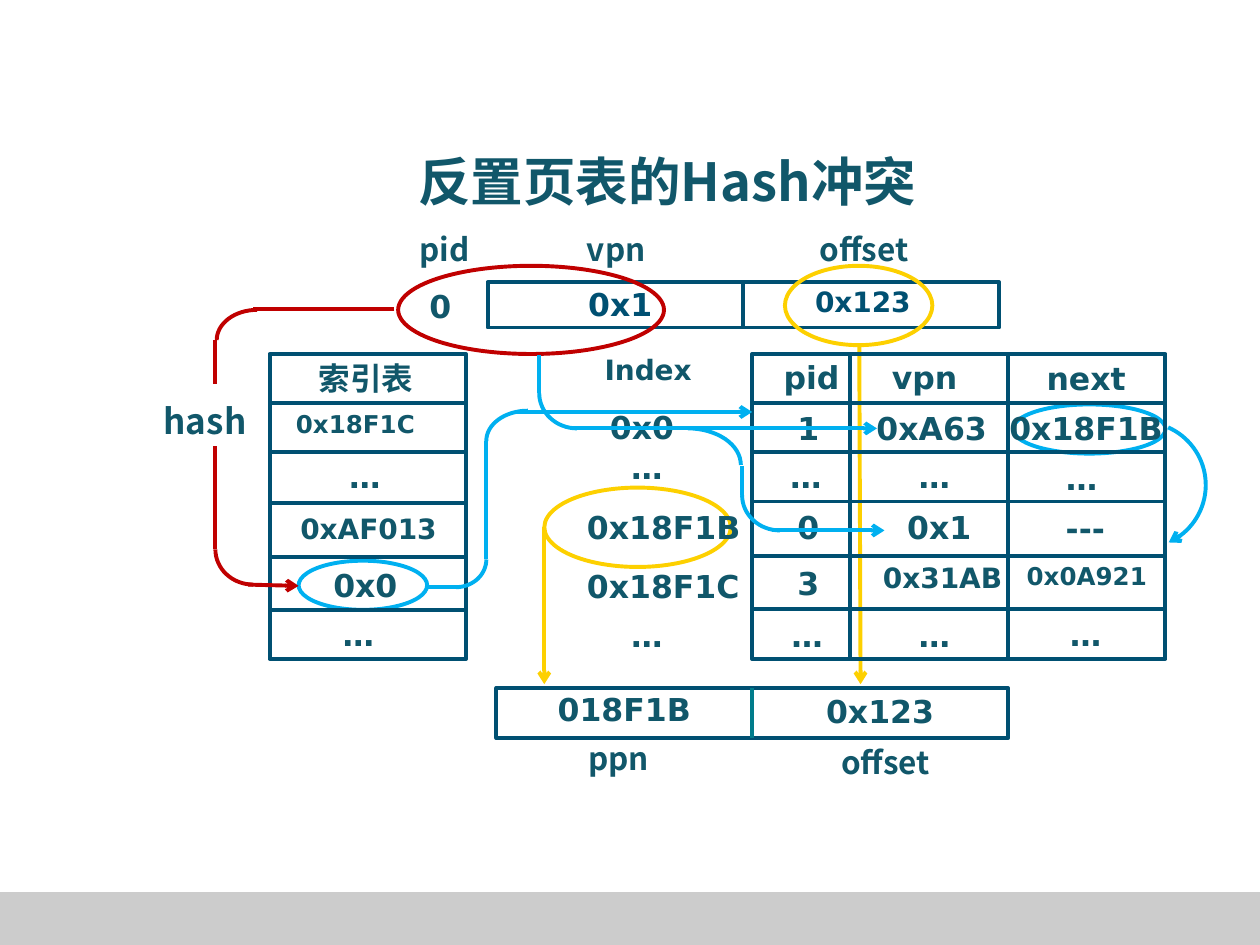
from dataclasses import dataclass
from math import cos, pi, sin

from lxml import etree
from pptx import Presentation
from pptx.dml.color import RGBColor
from pptx.enum.shapes import MSO_CONNECTOR, MSO_SHAPE
from pptx.enum.text import MSO_ANCHOR, MSO_AUTO_SIZE, PP_ALIGN
from pptx.oxml.ns import qn
from pptx.util import Pt

PX = 9144
RECT, OVAL, ARC = MSO_SHAPE.RECTANGLE, MSO_SHAPE.OVAL, MSO_SHAPE.ARC
STRAIGHT = MSO_CONNECTOR.STRAIGHT
LEFT, CENTER = PP_ALIGN.LEFT, PP_ALIGN.CENTER
FIT_TEXT, TOP = MSO_AUTO_SIZE.SHAPE_TO_FIT_TEXT, MSO_ANCHOR.TOP
MONO, SANS = "DejaVu Sans", "Noto Sans CJK SC"
COLORS = {"navy": "005072", "ink": "11576A", "teal": "007C8B", "red": "C00000",
          "yellow": "FDD000", "blue": "00B0F0", "band": "CCCCCC"}
LABEL_HEIGHTS = {14: 34, 16: 37, 18: 40, 20: 44, 30: 58}
BEND_STEPS = 16
TABLE_TOP, TABLE_HEIGHT = 281, 242


@dataclass
class Label:
    text: str
    left: int
    top: int
    width: int
    size: int = 18
    font: str = MONO
    align: PP_ALIGN = LEFT
    color: str = "ink"
    wrap: bool = True
    spacing: float = 1.0


@dataclass
class Outline:
    kind: MSO_SHAPE
    left: int
    top: int
    width: int
    height: int
    color: str


@dataclass
class Line:
    x1: int
    y1: int
    x2: int
    y2: int
    color: str
    arrow: bool = False


@dataclass
class Bend:
    """A quarter ellipse, level at its first point and upright at its second."""
    x1: int
    y1: int
    x2: int
    y2: int
    color: str


@dataclass
class Column:
    left: int
    width: int
    rules: tuple


INDEX_RULES = (320, 359, 399, 442, 484)
PAGE_RULES = (320, 359, 398, 441, 483)
COLUMNS = [Column(214, 156, INDEX_RULES), Column(800, 125, PAGE_RULES),
           Column(675, 125, PAGE_RULES), Column(597, 78, PAGE_RULES)]

ADDRESS_BARS = [Outline(RECT, 387, 224, 406, 36, "navy"),
                Outline(RECT, 394, 546, 406, 40, "navy")]
BAR_DIVIDERS = [Line(590, 224, 590, 261, "navy"), Line(597, 546, 597, 586, "teal")]
MARKS = [Outline(OVAL, 316, 211, 211, 70, "red"),
         Outline(OVAL, 432, 387, 148, 63, "yellow"),
         Outline(OVAL, 237, 445, 102, 39, "blue"),
         Outline(OVAL, 804, 321, 121, 39, "blue"),
         Outline(OVAL, 623, 211, 117, 63, "yellow")]
OFFSET_FLOWS = [Line(432, 418, 432, 543, "yellow", True),
                Line(682, 273, 683, 543, "yellow", True)]
HASH_FLOW = [Line(313, 245, 201, 245, "red"), Bend(204, 246, 172, 270, "red"),
             Line(171, 270, 171, 305, "red"), Line(171, 354, 171, 436, "red"),
             Bend(201, 464, 171, 436, "red"), Line(197, 464, 237, 465, "red", True)]
INDEX_FLOW = [Line(338, 466, 365, 466, "blue"), Bend(362, 466, 386, 444, "blue"),
              Line(386, 444, 386, 350, "blue"), Bend(419, 326, 386, 350, "blue"),
              Line(409, 327, 597, 327, "blue", True)]
VPN_FLOW = [Line(428, 282, 428, 312, "blue"), Bend(458, 340, 428, 312, "blue"),
            Line(455, 340, 550, 340, "blue"), Line(550, 340, 696, 340, "blue", True),
            Bend(546, 340, 588, 369, "blue"), Line(589, 370, 589, 393, "blue"),
            Bend(619, 421, 589, 393, "blue"), Line(613, 421, 702, 421, "blue", True)]

ELLIPSIS_PLACES = [(612, 358), (714, 358), (831, 359), (613, 484), (714, 484),
                   (834, 483), (486, 351), (486, 484), (262, 358), (257, 483)]
LABELS = [
    Label("反置页表的Hash冲突", 268, 117, 523, 30, SANS, CENTER, spacing=0.95),
    Label("pid", 323, 178, 102, font=SANS),
    Label("vpn", 456, 178, 117, font=SANS),
    Label("offset", 641, 178, 117, font=SANS),
    Label("0", 331, 223, 38, wrap=False),
    Label("0x1", 457, 221, 125, color="navy"),
    Label("0x123", 637, 221, 102, 16, color="navy"),
    Label("018F1B", 394, 543, 203, align=CENTER),
    Label("0x123", 597, 544, 203, align=CENTER),
    Label("ppn", 448, 582, 86, font=SANS, align=CENTER),
    Label("offset", 652, 585, 102, font=SANS, align=CENTER),
    Label("hash", 120, 312, 86, 20, SANS),
    Label("索引表", 243, 280, 156, font=SANS),
    Label("0x18F1C", 225, 320, 125, 14),
    Label("0xAF013", 222, 401, 141, 16, align=CENTER),
    Label("0x0", 251, 444, 78, align=CENTER),
    Label("Index", 470, 275, 94, 16),
    Label("0x0", 447, 319, 125, align=CENTER),
    Label("0x18F1B", 456, 398, 148),
    Label("0x18F1C", 456, 445, 148),
    Label("pid", 612, 279, 109),
    Label("vpn", 698, 279, 78),
    Label("next", 811, 280, 102, align=CENTER),
    Label("1", 623, 320, 78),
    Label("0xA63", 683, 320, 113, align=CENTER),
    Label("0x18F1B", 784, 320, 156, align=CENTER),
    Label("0", 623, 398, 47),
    Label("0x1", 691, 398, 109, align=CENTER),
    Label("---", 836, 399, 72),
    Label("3", 623, 443, 23),
    Label("0x31AB", 691, 440, 120, 16),
    Label("0x0A921", 800, 440, 125, 14, align=CENTER),
] + [Label("…", left, top, 55, align=CENTER) for left, top in ELLIPSIS_PLACES]


def rgb(name: str) -> RGBColor:
    return RGBColor.from_string(COLORS[name])


def style_line(stroke, color: str, arrow: bool = False) -> None:
    stroke.line.color.rgb = rgb(color)
    stroke.line.width = Pt(2.25)
    if arrow:
        etree.SubElement(stroke.line._get_or_add_ln(), qn("a:tailEnd"), type="arrow")


def draw_outline(slide, outline: Outline, arrow: bool = False):
    box = (outline.left, outline.top, outline.width, outline.height)
    shape = slide.shapes.add_shape(outline.kind, *(v * PX for v in box))
    shape.shadow.inherit = False
    shape.fill.background()
    style_line(shape, outline.color, arrow)
    return shape


def draw_line(slide, line: Line) -> None:
    ends = (line.x1, line.y1, line.x2, line.y2)
    connector = slide.shapes.add_connector(STRAIGHT, *(v * PX for v in ends))
    style_line(connector, line.color, line.arrow)
    etree.SubElement(connector._element.spPr, qn("a:effectLst"))


def draw_bend(slide, bend: Bend) -> None:
    angles = [pi / 2 * step / BEND_STEPS for step in range(BEND_STEPS + 1)]
    points = [((bend.x1 + (bend.x2 - bend.x1) * sin(a)) * PX,
               (bend.y2 + (bend.y1 - bend.y2) * cos(a)) * PX) for a in angles]
    builder = slide.shapes.build_freeform(*points[0])
    builder.add_line_segments(points[1:], close=False)
    curve = builder.convert_to_shape()
    curve.shadow.inherit = False
    curve.fill.background()
    style_line(curve, bend.color)


def draw_column(slide, column: Column) -> None:
    draw_outline(slide, Outline(RECT, column.left, TABLE_TOP, column.width, TABLE_HEIGHT, "navy"))
    for y in column.rules:
        draw_line(slide, Line(column.left, y, column.left + column.width, y, "navy"))


def draw_label(slide, label: Label) -> None:
    box = (label.left, label.top, label.width, LABEL_HEIGHTS[label.size])
    frame = slide.shapes.add_textbox(*(v * PX for v in box)).text_frame
    frame.word_wrap = label.wrap
    frame.auto_size = FIT_TEXT
    frame.vertical_anchor = TOP
    paragraph = frame.paragraphs[0]
    paragraph.alignment = label.align
    paragraph.line_spacing = label.spacing
    run = paragraph.add_run()
    run.text = label.text
    run.font.size, run.font.bold, run.font.name = Pt(label.size), True, label.font
    run.font.color.rgb = rgb(label.color)
    etree.SubElement(run._r.get_or_add_rPr(), qn("a:ea"), typeface=label.font)


def main() -> None:
    deck = Presentation()
    deck.slide_width, deck.slide_height = 1000 * PX, 750 * PX
    slide = deck.slides.add_slide(deck.slide_layouts[6])

    footer = draw_outline(slide, Outline(RECT, 0, 708, 1000, 42, "band"))
    footer.fill.solid()
    footer.fill.fore_color.rgb = rgb("band")
    footer.line.fill.background()

    for outline in ADDRESS_BARS + MARKS:
        draw_outline(slide, outline)
    for line in BAR_DIVIDERS + OFFSET_FLOWS:
        draw_line(slide, line)
    for label in LABELS:
        draw_label(slide, label)
    for column in COLUMNS:
        draw_column(slide, column)

    next_link = draw_outline(slide, Outline(ARC, 857, 335, 100, 100, "blue"), arrow=True)
    next_link.rotation = 23.8
    next_link.adjustments[0], next_link.adjustments[1] = 162, 25.12

    for part in HASH_FLOW + INDEX_FLOW + VPN_FLOW:
        if isinstance(part, Bend):
            draw_bend(slide, part)
        else:
            draw_line(slide, part)
    deck.save("out.pptx")


if __name__ == "__main__":
    main()
